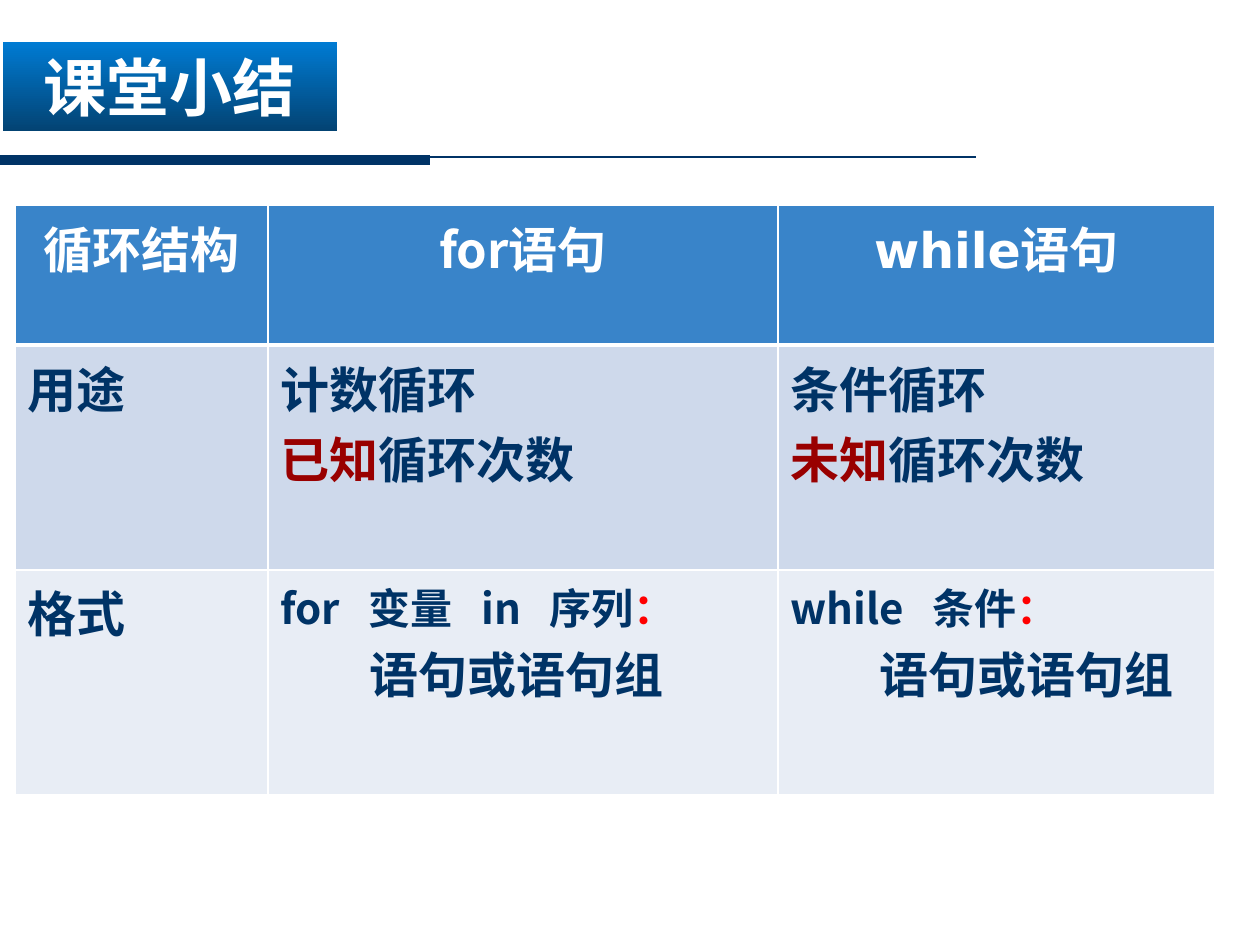
from dataclasses import dataclass

import lxml.etree
import pptx
import pptx.dml.color
import pptx.enum.shapes
import pptx.enum.text
import pptx.oxml.ns
import pptx.util

PX = 914400 / 126


@dataclass(frozen=True)
class Theme:
    navy: str = "003366"
    white: str = "FFFFFF"
    dark_red: str = "990000"
    red: str = "FF0000"
    header: str = "3984C9"
    band: str = "CED9EB"
    pale: str = "E8EDF5"
    title_top: str = "007BD3"
    title_bottom: str = "034373"
    font: str = "Noto Sans CJK SC"
    alt_font: str = "DejaVu Sans"
    title_size: int = 36
    body_size: int = 28
    code_size: int = 24


T = Theme()


@dataclass(frozen=True)
class Run:
    text: str
    color: str = T.navy
    size: int = T.body_size
    latin: str = T.font


@dataclass(frozen=True)
class Rule:
    x1: int
    x2: int
    y: int
    weight: float


@dataclass(frozen=True)
class Row:
    height: int
    fill: str
    top: int
    bottom: int
    centred: bool
    cells: list[list[list[Run]]]


def header(text: str, latin: str = T.font) -> list[list[Run]]:
    return [[Run(text, T.white, latin=latin)]]


def usage(kind: str, known: str) -> list[list[Run]]:
    return [[Run(kind)], [Run(known, T.dark_red), Run("循环次数")]]


def syntax(code: str) -> list[list[Run]]:
    return [[Run(code, size=T.code_size), Run("：", T.red, T.code_size)],
            [Run("        语句或语句组")]]


RULES = [Rule(0, 976, 157, 1.5), Rule(0, 430, 160, 6)]
COLUMNS = [253, 510, 437]
ROWS = [
    Row(140, T.header, 1, 3, True,
        [header("循环结构"), header("for语句"), header("while语句", T.alt_font)]),
    Row(225, T.band, 3, 1, False,
        [[[Run("用途")]], usage("计数循环", "已知"), usage("条件循环", "未知")]),
    Row(225, T.pale, 1, 1, False,
        [[[Run("格式")]], syntax("for   变量   in   序列"), syntax("while   条件")]),
]


def px(n: int) -> pptx.util.Emu:
    return pptx.util.Emu(round(n * PX))


def rgb(color: str) -> pptx.dml.color.RGBColor:
    return pptx.dml.color.RGBColor.from_string(color)


def sub(parent, tag: str, **attrs: str):
    return lxml.etree.SubElement(parent, pptx.oxml.ns.qn(tag), attrs)


def add_run(p, run: Run) -> None:
    r = p.add_run()
    r.text = run.text
    r.font.size = pptx.util.Pt(run.size)
    r.font.bold = True
    r.font.color.rgb = rgb(run.color)
    r.font.name = run.latin
    sub(r.font._element, "a:ea", typeface=T.font)


def add_rule(s, rule: Rule) -> None:
    line = s.shapes.add_connector(pptx.enum.shapes.MSO_CONNECTOR.STRAIGHT,
                                  px(rule.x1), px(rule.y), px(rule.x2), px(rule.y))
    line.line.color.rgb = rgb(T.navy)
    line.line.width = pptx.util.Pt(rule.weight)
    sub(line._element.spPr, "a:effectLst")


def set_title(s) -> None:
    sp = s.shapes.title
    sp.left, sp.top, sp.width, sp.height = px(3), px(42), px(334), px(89)
    sp.fill.gradient()
    sp.fill.gradient_angle = 270
    for stop, color in zip(sp.fill.gradient_stops, (T.title_top, T.title_bottom)):
        stop.color.rgb = rgb(color)
    tf = sp.text_frame
    tf.auto_size = pptx.enum.text.MSO_AUTO_SIZE.NONE
    tf.vertical_anchor = pptx.enum.text.MSO_ANCHOR.MIDDLE
    tf.margin_top = tf.margin_bottom = 0
    p = tf.paragraphs[0]
    p.alignment = pptx.enum.text.PP_ALIGN.CENTER
    add_run(p, Run("课堂小结", T.white, T.title_size))


def set_borders(cell, top: int, bottom: int) -> None:
    """Draw white cell edges; widths are in points."""
    tc_pr = cell._tc.get_or_add_tcPr()
    edges = {"a:lnL": 1, "a:lnR": 1, "a:lnT": top, "a:lnB": bottom}
    for i, (tag, width) in enumerate(edges.items()):
        ln = sub(tc_pr, tag, w=str(pptx.util.Pt(width)))
        sub(sub(ln, "a:solidFill"), "a:srgbClr", val=T.white)
        tc_pr.insert(i, ln)


def fill_cell(cell, row: Row, paragraphs: list[list[Run]]) -> None:
    cell.fill.solid()
    cell.fill.fore_color.rgb = rgb(row.fill)
    set_borders(cell, row.top, row.bottom)
    tf = cell.text_frame
    for i, runs in enumerate(paragraphs):
        p = tf.add_paragraph() if i else tf.paragraphs[0]
        p.alignment = (pptx.enum.text.PP_ALIGN.CENTER if row.centred
                       else pptx.enum.text.PP_ALIGN.LEFT)
        for run in runs:
            add_run(p, run)


def add_summary_table(s) -> None:
    table = s.shapes.add_table(len(ROWS), len(COLUMNS), px(15), px(205),
                               px(sum(COLUMNS)), px(sum(r.height for r in ROWS))).table
    table.horz_banding = False
    for column, width in zip(table.columns, COLUMNS):
        column.width = px(width)
    for table_row, row in zip(table.rows, ROWS):
        table_row.height = px(row.height)
        for cell, paragraphs in zip(table_row.cells, row.cells):
            fill_cell(cell, row, paragraphs)


def main() -> None:
    prs = pptx.Presentation()
    prs.slide_width, prs.slide_height = px(1260), px(945)
    s = prs.slides.add_slide(prs.slide_layouts.get_by_name("Title Only"))
    for rule in RULES:
        add_rule(s, rule)
    add_summary_table(s)
    set_title(s)
    prs.save("out.pptx")


if __name__ == "__main__":
    main()
